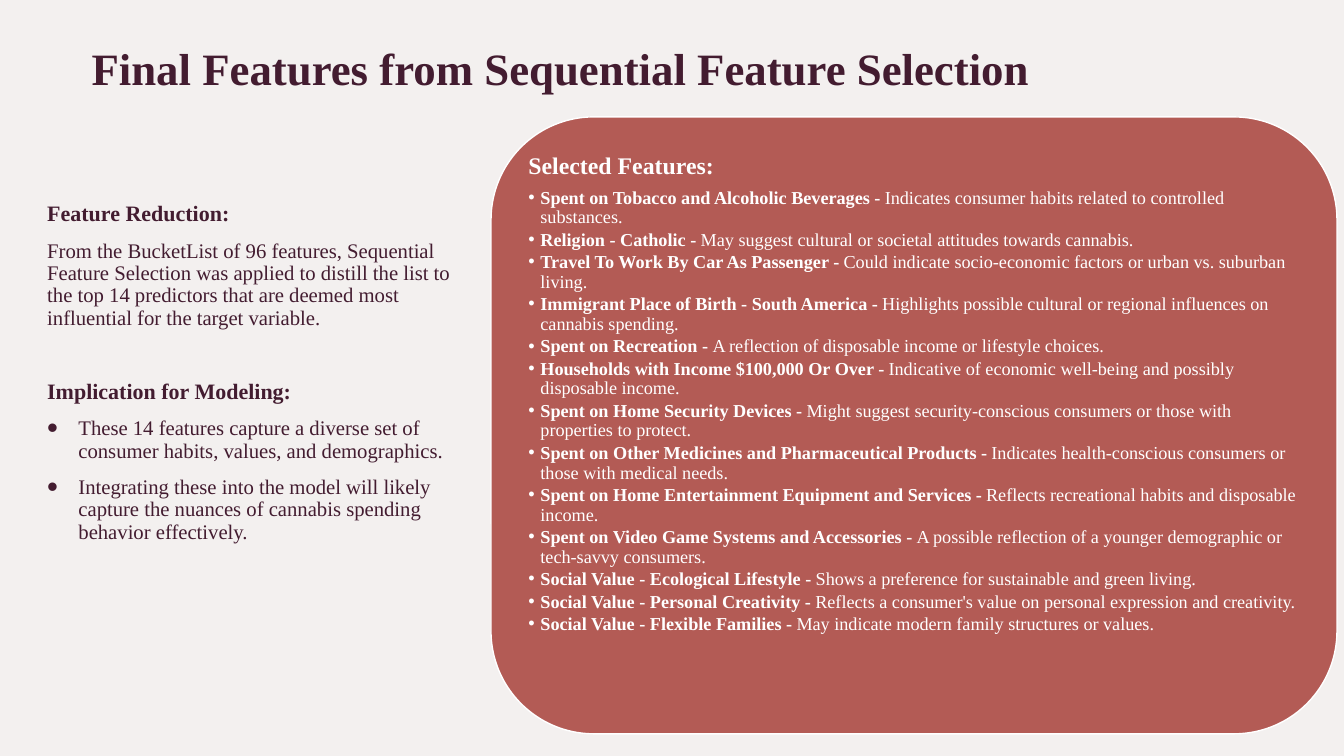
"""Build the slide on the final features from sequential feature selection."""
from pptx import Presentation
from pptx.dml.color import RGBColor
from pptx.enum.shapes import MSO_SHAPE
from pptx.enum.text import MSO_ANCHOR
from pptx.oxml.ns import qn
from pptx.util import Inches, Pt
from lxml.etree import SubElement

theme = {
    "font": "Times New Roman",
    "back": RGBColor.from_string("F3F0EF"),
    "ink": RGBColor.from_string("431C30"),
    "card": RGBColor.from_string("B35B55"),
    "white": RGBColor.from_string("FFFFFF"),
    "title": 32, "head": 15.7, "body": 14.8, "top": 17, "item": 13,
}


def add_box(place, inset, anchor=MSO_ANCHOR.TOP):
    """Add a wrapped text box and return its frame."""
    frame = slide.shapes.add_textbox(*map(Inches, place)).text_frame
    side, edge = map(Inches, inset)
    form = {"word_wrap": True, "vertical_anchor": anchor,
            "margin_left": side, "margin_right": side,
            "margin_top": edge, "margin_bottom": edge}
    for name, value in form.items():
        setattr(frame, name, value)
    return frame


def add_text(frame, parts, size, color, form, indent=0, scale=100):
    """Add a paragraph of (text, bold) parts, with a bullet if indented."""
    para = frame.paragraphs[0]
    if para.runs:
        para = frame.add_paragraph()
    for name, value in form.items():
        setattr(para, name, value)
    if indent:
        props = para._p.get_or_add_pPr()
        props.set("marL", str(Inches(indent)))
        props.set("indent", str(-Inches(indent)))
        SubElement(props, qn("a:buSzPct")).set("val", str(scale * 1000))
        SubElement(props, qn("a:buFont")).set("typeface", "Arial")
        SubElement(props, qn("a:buChar")).set("char", "•")
    for text, bold in parts:
        run = para.add_run()
        run.text = text
        look = {"name": theme["font"], "size": Pt(size), "bold": bold}
        for name, value in look.items():
            setattr(run.font, name, value)
        run.font.color.rgb = color


deck = Presentation()
deck.slide_width, deck.slide_height = Inches(13.33), Inches(7.5)
slide = deck.slides.add_slide(deck.slide_layouts[6])
slide.background.fill.solid()
slide.background.fill.fore_color.rgb = theme["back"]

title = add_box((0.81, 0.25, 9.71, 0.74), (0.1, 0.05), MSO_ANCHOR.BOTTOM)
add_text(title, [("Final Features from Sequential Feature Selection", True)],
         theme["title"], theme["ink"], {"line_spacing": 0.9})

notes = [
    ("Feature Reduction:", True, 10, 0),
    ("From the BucketList of 96 features, Sequential Feature Selection was "
     "applied to distill the list to the top 14 predictors that are deemed "
     "most influential for the target variable.", False, 10, 0),
    ("Implication for Modeling:", True, 36, 0),
    ("These 14 features capture a diverse set of consumer habits, values, "
     "and demographics.", False, 10, 0.31),
    ("Integrating these into the model will likely capture the nuances of "
     "cannabis spending behavior effectively.", False, 10, 0.31),
]
left = add_box((0.37, 1.96, 4.3, 3.77), (0.1, 0.05))
for text, bold, gap, indent in notes:
    add_text(left, [(text, bold)], theme["head" if bold else "body"],
             theme["ink"], {"line_spacing": 0.9, "space_before": Pt(gap)},
             indent, 150)

card = slide.shapes.add_shape(MSO_SHAPE.ROUNDED_RECTANGLE, Inches(4.87),
                              Inches(1.16), Inches(8.39), Inches(6.12))
card.shadow.inherit = False
card.fill.solid()
card.fill.fore_color.rgb = theme["card"]
card.line.color.rgb = theme["white"]
card.line.width = Pt(1)

items = [
    ("Spent on Tobacco and Alcoholic Beverages",
     "Indicates consumer habits related to controlled substances."),
    ("Religion - Catholic",
     "May suggest cultural or societal attitudes towards cannabis."),
    ("Travel To Work By Car As Passenger",
     "Could indicate socio-economic factors or urban vs. suburban living."),
    ("Immigrant Place of Birth - South America",
     "Highlights possible cultural or regional influences on cannabis spending."),
    ("Spent on Recreation",
     "A reflection of disposable income or lifestyle choices."),
    ("Households with Income $100,000 Or Over",
     "Indicative of economic well-being and possibly disposable income."),
    ("Spent on Home Security Devices",
     "Might suggest security-conscious consumers or those with properties "
     "to protect."),
    ("Spent on Other Medicines and Pharmaceutical Products",
     "Indicates health-conscious consumers or those with medical needs."),
    ("Spent on Home Entertainment Equipment and Services",
     "Reflects recreational habits and disposable income."),
    ("Spent on Video Game Systems and Accessories",
     "A possible reflection of a younger demographic or tech-savvy consumers."),
    ("Social Value - Ecological Lifestyle",
     "Shows a preference for sustainable and green living."),
    ("Social Value - Personal Creativity",
     "Reflects a consumer's value on personal expression and creativity."),
    ("Social Value - Flexible Families",
     "May indicate modern family structures or values."),
]
right = add_box((5.17, 1.46, 7.79, 5.52), (0.07, 0.07))
add_text(right, [("Selected Features:", True)], theme["top"], theme["white"],
         {"line_spacing": 0.9, "space_after": Pt(5.95)})
for name, note in items:
    add_text(right, [(name + " - ", True), (note, False)], theme["item"],
             theme["white"],
             {"level": 1, "line_spacing": 0.9, "space_after": Pt(1.95)}, 0.12)

deck.save("out.pptx")
